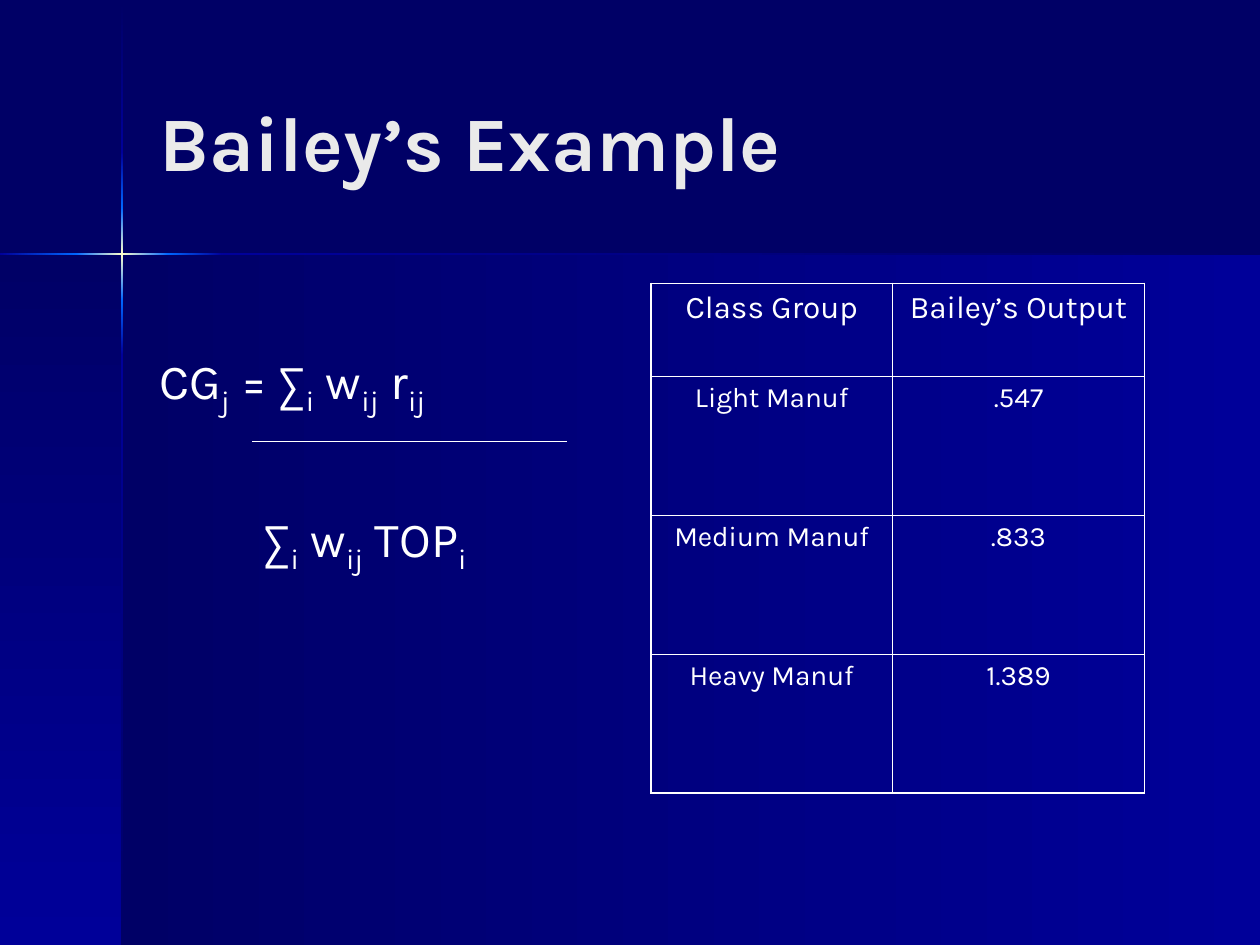
from itertools import pairwise

from lxml.etree import SubElement
from pptx import Presentation
from pptx.dml.color import RGBColor
from pptx.enum.shapes import MSO_SHAPE
from pptx.enum.text import MSO_ANCHOR, PP_ALIGN
from pptx.oxml.ns import qn
from pptx.util import Inches, Pt

NIGHT, DEEP, BRIGHT, GLOW = "000066", "000099", "0066FF", "FFFFCC"
WHITE, PALE = "FFFFFF", "EAEAEA"
ACROSS, DOWN = 0, 270  # gradient directions


def color(code):
    return RGBColor.from_string(code)


def grid(units):
    """Length of grid units: 120 columns by 90 rows on the slide."""
    return Inches(units / 12)


class SlideBuilder:
    font = "Karla"
    thin, thick = 0.45, 1.08

    def __init__(self, slide):
        self.slide = slide
        slide.background.fill.solid()
        slide.background.fill.fore_color.rgb = color(NIGHT)

    def band(self, box, colors, angle):
        """Rectangle with evenly spaced gradient colours."""
        shape = self.slide.shapes.add_shape(MSO_SHAPE.RECTANGLE, *map(grid, box))
        shape.shadow.inherit = False
        shape.line.fill.background()
        shape.fill.gradient()
        shape.fill.gradient_angle = angle
        stops = next(shape._element.spPr.iter(qn("a:gsLst")))
        for stop in list(stops):
            stops.remove(stop)
        for index, code in enumerate(colors):
            position = 100000 * index // (len(colors) - 1)
            stop = SubElement(stops, qn("a:gs"), pos=str(position))
            SubElement(stop, qn("a:srgbClr"), val=code)

    def run(self, paragraph, text, size, code=WHITE, bold=False, subscript=False):
        run = paragraph.add_run()
        run.text = text
        run.font.name = self.font
        run.font.size = Pt(size)
        run.font.bold = bold
        run.font.color.rgb = color(code)
        if subscript:
            run._r.get_or_add_rPr().set("baseline", "-25000")

    def text_box(self, box, anchor=MSO_ANCHOR.TOP):
        frame = self.slide.shapes.add_textbox(*map(grid, box)).text_frame
        frame.word_wrap = True
        frame.vertical_anchor = anchor
        return frame

    def formula(self, paragraph, terms, size=28):
        """Each term is a base text followed by its subscript."""
        for base, subscript in terms:
            self.run(paragraph, base, size)
            self.run(paragraph, subscript, size, subscript=True)

    def borders(self, cell, widths):
        """Border widths for left, right, top and bottom; 0 means none."""
        properties = cell._tc.get_or_add_tcPr()
        for index, (side, width) in enumerate(zip("LRTB", widths)):
            border = SubElement(properties, qn(f"a:ln{side}"), w=str(Pt(width)))
            if width:
                fill = SubElement(border, qn("a:solidFill"))
                SubElement(fill, qn("a:srgbClr"), val=WHITE)
            else:
                SubElement(border, qn("a:noFill"))
            properties.insert(index, border)

    def plain_table(self, left, top, widths, heights):
        """Unfilled table without style bands."""
        box = (left, top, sum(widths), sum(heights))
        table = self.slide.shapes.add_table(
            len(heights), len(widths), *map(grid, box)).table
        table.first_row = table.horz_banding = False
        for column, width in zip(table.columns, widths):
            column.width = grid(width)
        for row, height in zip(table.rows, heights):
            row.height = grid(height)
        for cell in table.iter_cells():
            cell.fill.background()
        return table

    def fraction_line(self, left, top, width, height):
        table = self.plain_table(left, top, [width], [height])
        self.borders(table.cell(0, 0), (0, 0, self.thin, 0))

    def data_table(self, left, top, widths, heights, rows):
        table = self.plain_table(left, top, widths, heights)
        last_row, last_column = len(heights) - 1, len(widths) - 1
        for r, texts in enumerate(rows):
            size = 16 if r else 18
            for c, text in enumerate(texts):
                cell = table.cell(r, c)
                outer_sides = (c == 0, c == last_column, r == 0, r == last_row)
                self.borders(cell, [self.thick if outer else self.thin
                                    for outer in outer_sides])
                paragraph = cell.text_frame.paragraphs[0]
                paragraph.alignment = PP_ALIGN.CENTER
                paragraph.space_before = Pt(size / 4)
                self.run(paragraph, text, size)


def main():
    presentation = Presentation()
    presentation.slide_width, presentation.slide_height = grid(120), grid(90)
    builder = SlideBuilder(presentation.slides.add_slide(presentation.slide_layouts[6]))

    # Background panels
    cross_x, cross_y, thickness = 11.64, 24.2, 0.2
    builder.band((cross_x, cross_y, 120 - cross_x, 90 - cross_y), (NIGHT, DEEP), ACROSS)
    builder.band((0, cross_y, cross_x, 90 - cross_y), (NIGHT, DEEP), DOWN)

    # Glowing cross: the same fade runs down and across
    fades = [(NIGHT, DEEP), (DEEP, BRIGHT), (BRIGHT, GLOW, BRIGHT),
             (BRIGHT, DEEP), (DEEP, NIGHT)]
    for (start, end), fade in zip(pairwise((0.12, 14.5, 19.8, 28.6, 33.8, 90)), fades):
        builder.band((cross_x - thickness / 2, start, thickness, end - start), fade, DOWN)
    for (start, end), fade in zip(pairwise((0, 7.25, 16, 21.2, 120)), fades[1:]):
        builder.band((start, cross_y - thickness / 2, end - start, thickness), fade, ACROSS)

    # Title
    title = builder.text_box((14, 3.9, 99, 18.9), MSO_ANCHOR.MIDDLE)
    builder.run(title.paragraphs[0], "Bailey’s Example", 44, PALE, bold=True)

    # Formula: numerator and denominator
    body = builder.text_box((14, 26, 48.5, 54))
    body.margin_top = grid(7.4)
    builder.formula(body.paragraphs[0], [
        ("CG", "j"), (" = ∑", "i"), (" w", "ij"), (" r", "ij")])
    denominator = body.add_paragraph()
    denominator.space_before = Pt(52)
    denominator._p.get_or_add_pPr().set("marL", str(grid(9.9)))
    builder.formula(denominator, [("∑", "i"), (" w", "ij"), (" TOP", "i")])

    # Results table
    builder.data_table(62, 27, (23, 24), (8.8, 13.25, 13.25, 13.25), [
        ("Class Group", "Bailey’s Output"),
        ("Light Manuf", ".547"),
        ("Medium Manuf", ".833"),
        ("Heavy Manuf", "1.389"),
    ])

    # Fraction line: a one-cell table with only its top border
    builder.fraction_line(24, 42, 30, 9)

    presentation.save("out.pptx")


if __name__ == "__main__":
    main()
